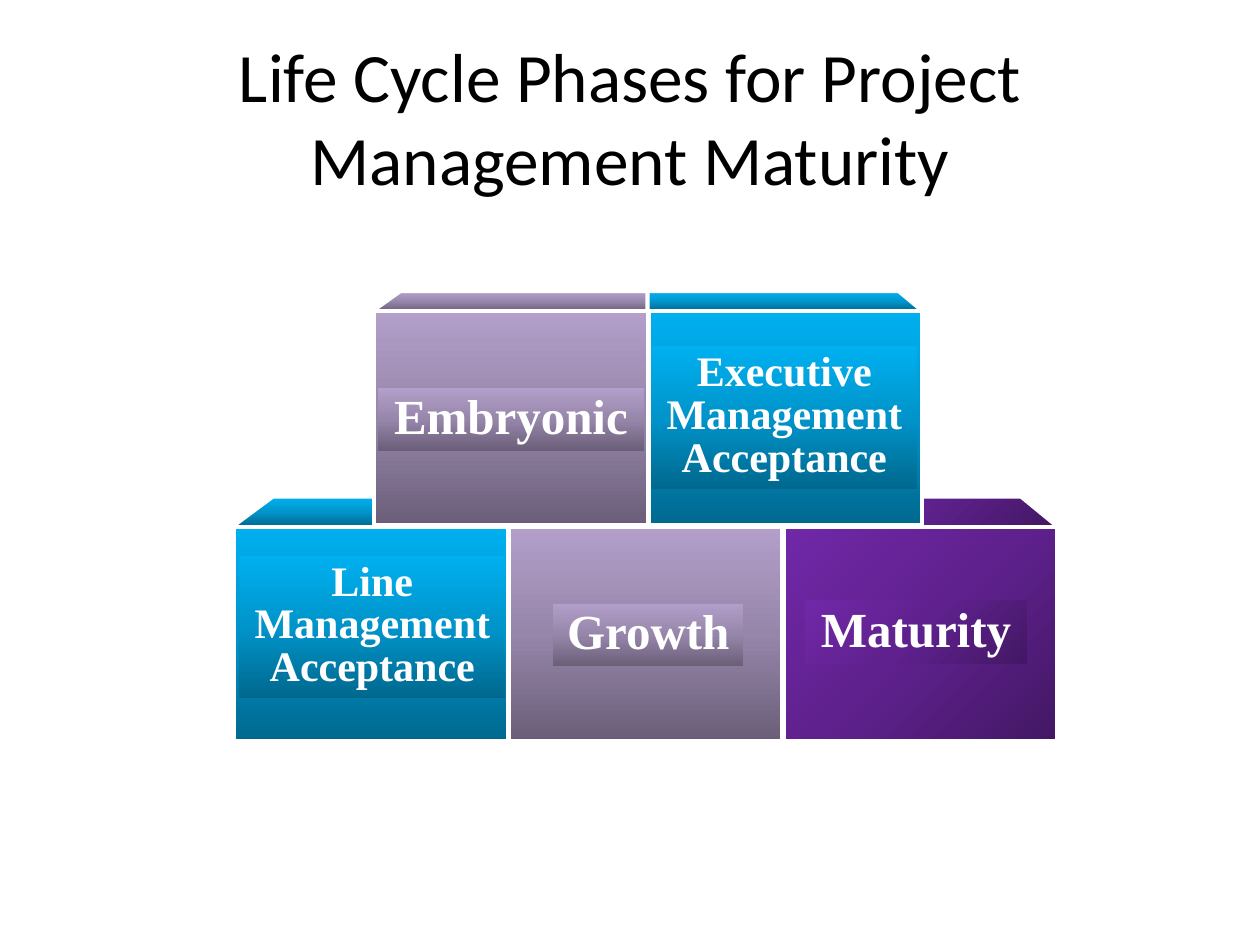
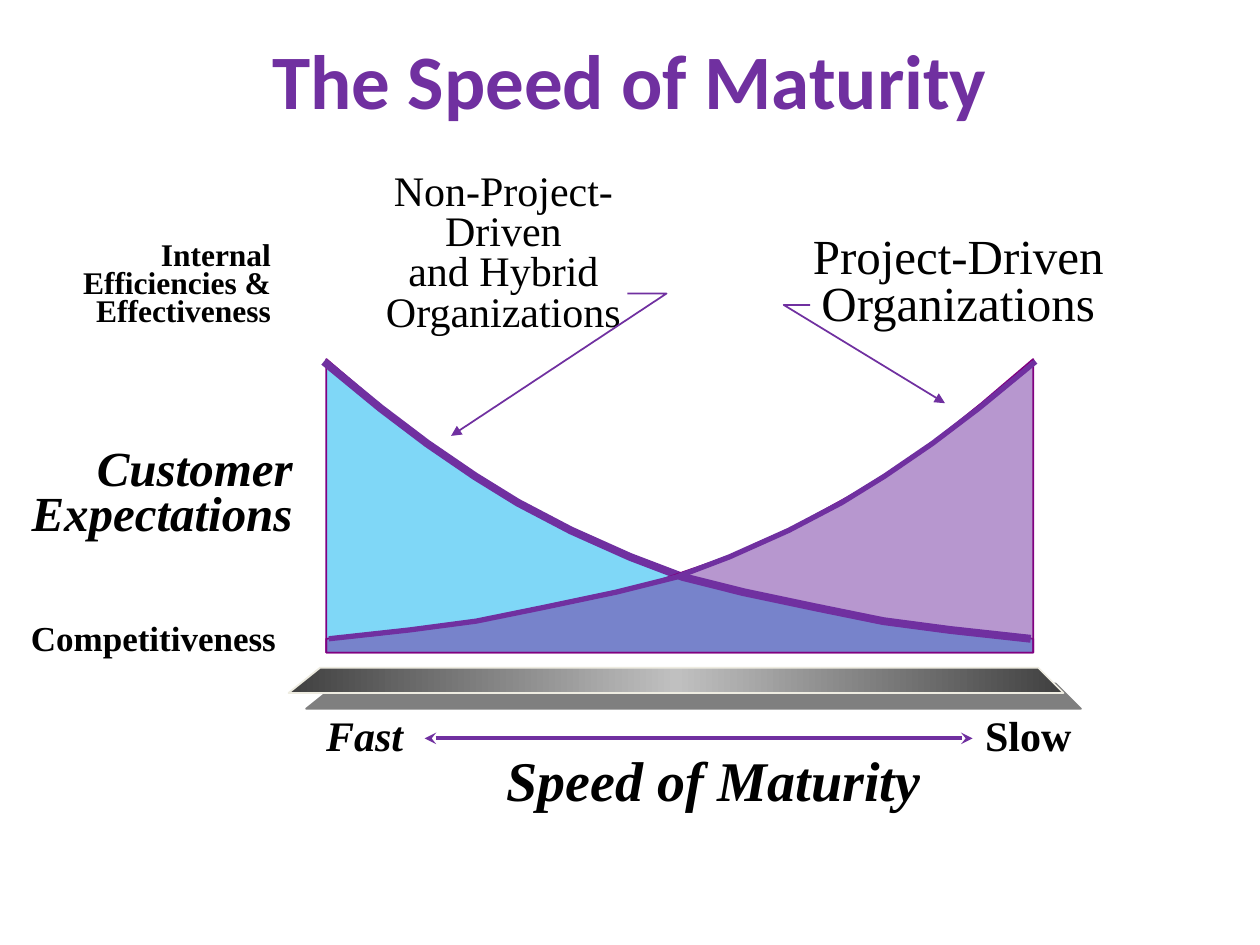
from copy import deepcopy

from lxml import etree
from pptx import Presentation
from pptx.dml.color import RGBColor
from pptx.enum.shapes import MSO_CONNECTOR, MSO_SHAPE
from pptx.enum.text import MSO_ANCHOR, PP_ALIGN
from pptx.oxml.ns import qn
from pptx.util import Inches, Pt

LEFT, CENTER, RIGHT = PP_ALIGN.LEFT, PP_ALIGN.CENTER, PP_ALIGN.RIGHT
TOP, MIDDLE = MSO_ANCHOR.TOP, MSO_ANCHOR.MIDDLE
STRAIGHT, RECTANGLE = MSO_CONNECTOR.STRAIGHT, MSO_SHAPE.RECTANGLE

BLACK = RGBColor(0x00, 0x00, 0x00)
WHITE = RGBColor(0xFF, 0xFF, 0xFF)
PURPLE = RGBColor(0x70, 0x30, 0xA0)
SKY = RGBColor(0x00, 0xB0, 0xF0)
PLUM = RGBColor(0x80, 0x00, 0x80)
IVORY = RGBColor(0xEE, 0xEC, 0xE1)
CHARCOAL = RGBColor(0x40, 0x40, 0x40)
SILVER = RGBColor(0xC0, 0xC0, 0xC0)

BLUE_SHADE = ((RGBColor(0x00, 0x68, 0x8E), RGBColor(0x00, 0x94, 0xCA), SKY), 90)
LILAC_SHADE = ((RGBColor(0x6A, 0x5E, 0x78), RGBColor(0x96, 0x86, 0xAA),
                RGBColor(0xB3, 0x9F, 0xCA)), 90)
VIOLET_SHADE = ((RGBColor(0x43, 0x17, 0x64), RGBColor(0x5F, 0x21, 0x8E),
                 RGBColor(0x71, 0x28, 0xA8)), 135)
STEEL_SHADE = ((CHARCOAL, SILVER, CHARCOAL), 0)

TITLE_FONT, LABEL_FONT = "Calibri", "Times New Roman"

BRICK_WIDTH, BRICK_HEIGHT, BRICK_PITCH = 2.17, 1.7, 2.18
BOTTOM_ROW = (1.86, 4.18, 0.23, (
    ("Line\nManagement\nAcceptance", 24, BLUE_SHADE, (0.31, 0), (0.04, 0.23, 2.11, 1.13)),
    ("Growth", 28, LILAC_SHADE, (0, 0), (0.35, 0.61, 1.51, 0.5)),
    ("Maturity", 28, VIOLET_SHADE, (0, 0.28), (0.17, 0.59, 1.76, 0.5)),
))
TOP_ROW = (2.97, 2.47, 0.15, (
    ("Embryonic", 28, LILAC_SHADE, (0.21, 0), (0.03, 0.61, 2.11, 0.5)),
    ("Executive\nManagement\nAcceptance", 24, BLUE_SHADE, (0, 0.18), (0.02, 0.28, 2.11, 1.13)),
))

CHART_BOX = (2.59, 2.85, 5.61)
AREA = ((0, 0), (0.41, 0.35), (0.87, 0.72), (1.39, 1.05), (1.88, 1.32), (2.4, 1.56),
        (2.98, 1.76), (3.71, 1.94), (4.49, 2.09), (5.21, 2.19), (5.61, 2.22),
        (5.61, 2.33), (0, 2.33))
CURVE = ((5.59, 2.22), (4.95, 2.15), (4.42, 2.08), (3.88, 1.97), (3.31, 1.85),
         (2.83, 1.73), (2.41, 1.57), (1.94, 1.36), (1.52, 1.14), (1.18, 0.93),
         (0.8, 0.67), (0.43, 0.39), (-0.02, 0.02))

AXIS_LABELS = (
    (("Internal", "Efficiencies &", "Effectiveness"), (0.41, 1.88, 1.84, 0.78), 18, 0.75, False),
    (("Customer", "Expectations"), (0.13, 3.53, 2.29, 0.81), 28, 0.75, True),
    (("Competitiveness",), (0.04, 4.89, 2.25, 0.39), 20, 0.85, False),
)
SPEED_LABELS = (
    ("Fast", (2.49, 5.58, 0.92, 0.5), 24, True),
    ("Slow", (7.72, 5.58, 1.12, 0.5), 24, False),
    ("Speed of Maturity", (3.92, 5.86, 4.14, 0.64), 32, True),
)
CALLOUTS = (
    (("Project-Driven", "Organizations"), (6.29, 1.83, 2.63, 0.85), 28,
     ((0.14, 0.59), (-0.07, 0.59), (1.21, 1.37))),
    (("Non-Project-Driven", "and Hybrid", "Organizations"), (2.59, 1.33, 2.81, 1.39), 24,
     ((2.39, 1.0), (2.7, 1.0), (0.99, 2.13))),
)


def inches(box):
    """Convert a box of numbers to lengths."""
    return [Inches(value) for value in box]


def set_font(paragraph, name, size, color, bold=False, italic=False):
    """Format the font of a whole paragraph."""
    font = paragraph.font
    font.name, font.size, font.bold, font.italic = name, Pt(size), bold, italic
    font.color.rgb = color


def set_line(shape, color, width):
    """Give a shape or connector a solid line."""
    shape.line.color.rgb = color
    shape.line.width = Pt(width)


def shade(shape, shading):
    """Fill a shape with an even three-colour gradient."""
    colors, angle = shading
    shape.fill.gradient()
    shape.fill.gradient_angle = angle
    stop_list = shape._element.spPr.find(".//" + qn("a:gsLst"))
    stop_list.insert(1, deepcopy(stop_list[0]))
    for stop, color, position in zip(shape.fill.gradient_stops, colors, (0, 0.5, 1)):
        stop.color.rgb = color
        stop.position = position


def add_arrowheads(shape, **ends):
    """Add headEnd and tailEnd arrowheads to a line."""
    line = shape._element.spPr.find(qn("a:ln"))
    for end, kind in ends.items():
        etree.SubElement(line, qn(f"a:{end}"), type=kind)


def add_outline(slide, origin, points, closed=True):
    """Draw straight segments through points given relative to the origin."""
    left, top = origin
    corners = [(Inches(left + x), Inches(top + y)) for x, y in points]
    builder = slide.shapes.build_freeform(*corners[0])
    builder.add_line_segments(corners[1:], close=closed)
    shape = builder.convert_to_shape()
    shape.shadow.inherit = False
    if not closed:
        shape.fill.background()
    return shape


def add_rectangle(slide, box, shading):
    """Add a gradient rectangle without a line."""
    rectangle = slide.shapes.add_shape(RECTANGLE, *inches(box))
    rectangle.shadow.inherit = False
    shade(rectangle, shading)
    rectangle.line.fill.background()
    return rectangle


def add_label(slide, lines, box, size, align=LEFT, anchor=MIDDLE, spacing=1.0,
              bold=True, italic=False):
    """Add a text box with one paragraph for each line."""
    frame = slide.shapes.add_textbox(*inches(box)).text_frame
    frame.word_wrap = True
    frame.vertical_anchor = anchor
    frame.text = "\n".join(lines)
    for paragraph in frame.paragraphs:
        paragraph.alignment = align
        paragraph.line_spacing = spacing
        set_font(paragraph, LABEL_FONT, size, BLACK, bold, italic)


def add_titled_slide(deck, text, top, size, color, bold=False):
    """Add a slide with a centred title."""
    slide = deck.slides.add_slide(deck.slide_layouts[5])
    title = slide.shapes.title
    title.left, title.top, title.width, title.height = inches((0.5, top, 9, 1.25))
    title.text_frame.text = text
    title.text_frame.vertical_anchor = MIDDLE
    paragraph = title.text_frame.paragraphs[0]
    paragraph.alignment = CENTER
    set_font(paragraph, TITLE_FONT, size, color, bold)
    return slide


def add_brick(slide, left, top, depth, phase):
    """Add one phase brick: its lid, its front and its label."""
    text, size, shading, (left_inset, right_inset), label_box = phase
    lid_width = BRICK_WIDTH - 0.01
    lid = add_outline(slide, (left, top - depth),
                      ((0, depth), (left_inset, 0), (lid_width - right_inset, 0),
                       (lid_width, depth)))
    shade(lid, shading)
    set_line(lid, WHITE, 1)
    front = add_rectangle(slide, (left, top, BRICK_WIDTH, BRICK_HEIGHT), shading)
    set_line(front, WHITE, 2.25)

    x, y, width, height = label_box
    label = add_rectangle(slide, (left + x, top + y, width, height), shading)
    frame = label.text_frame
    frame.word_wrap = False
    frame.vertical_anchor = TOP
    paragraph = frame.paragraphs[0]
    paragraph.text = text
    paragraph.alignment = CENTER
    paragraph.line_spacing = 0.85
    set_font(paragraph, LABEL_FONT, size, WHITE, bold=True)


def add_brick_row(slide, row):
    """Lay out one row of bricks at an equal pitch."""
    left, top, depth, phases = row
    for index, phase in enumerate(phases):
        add_brick(slide, left + index * BRICK_PITCH, top, depth, phase)


def add_maturity_curves(slide, box):
    """Draw the falling area and curve, then their mirror images."""
    left, top, width = box
    for mirrored, color, weight in ((False, SKY, 4.5), (True, PURPLE, 3)):
        area_points, curve_points = (
            [(width - x if mirrored else x, y) for x, y in points] for points in (AREA, CURVE))
        area = add_outline(slide, (left, top), area_points)
        area.fill.solid()
        area.fill.fore_color.rgb = color
        rgb = area._element.spPr.find(qn("a:solidFill"))[0]
        etree.SubElement(rgb, qn("a:alpha"), val="50000")
        set_line(area, PLUM, 1)
        curve = add_outline(slide, (left, top), curve_points, closed=False)
        set_line(curve, PURPLE, weight)


def add_platform(slide, left, top):
    """Draw the metallic base with its hard shadow."""
    platform = add_outline(slide, (left, top), ((0, 0.2), (0.25, 0), (5.95, 0), (6.15, 0.2)))
    shade(platform, STEEL_SHADE)
    set_line(platform, IVORY, 1)
    effects = platform._element.spPr.find(qn("a:effectLst"))
    shadow = etree.SubElement(effects, qn("a:outerShdw"), blurRad="0", dist=str(Pt(13.5)),
                              dir=str(42 * 60000), algn="ctr", rotWithShape="0")
    rgb = etree.SubElement(shadow, qn("a:srgbClr"), val=str(BLACK))
    etree.SubElement(rgb, qn("a:alpha"), val="50000")


def add_speed_scale(slide):
    """Add the double arrow and the labels below the base."""
    arrow = slide.shapes.add_connector(STRAIGHT, *inches((3.37, 5.86, 7.72, 5.86)))
    set_line(arrow, PURPLE, 2.25)
    add_arrowheads(arrow, headEnd="stealth", tailEnd="stealth")
    etree.SubElement(arrow._element.spPr, qn("a:effectLst"))
    for text, box, size, italic in SPEED_LABELS:
        add_label(slide, (text,), box, size, italic=italic)


def add_callout(slide, lines, box, size, pointer_points):
    """Add an organization label and its bent pointer."""
    add_label(slide, lines, box, size, CENTER, TOP, 0.8, bold=False)
    pointer = add_outline(slide, box[:2], pointer_points, closed=False)
    set_line(pointer, PURPLE, 1)
    add_arrowheads(pointer, tailEnd="triangle")


def build_phases_slide(deck):
    """Build the slide of life cycle phases."""
    slide = add_titled_slide(deck, "Life Cycle Phases for Project Management Maturity",
                             0.3, 39.6, BLACK)
    for row in (BOTTOM_ROW, TOP_ROW):
        add_brick_row(slide, row)


def build_speed_slide(deck):
    """Build the slide on the speed of maturity."""
    slide = add_titled_slide(deck, "The Speed of Maturity", 0, 44, PURPLE, bold=True)
    add_speed_scale(slide)
    add_platform(slide, 2.29, 5.3)
    add_maturity_curves(slide, CHART_BOX)
    for callout in CALLOUTS:
        add_callout(slide, *callout)
    for lines, box, size, spacing, italic in AXIS_LABELS:
        add_label(slide, lines, box, size, RIGHT, spacing=spacing, italic=italic)


def main():
    """Build and save the deck."""
    deck = Presentation()
    deck.slide_width, deck.slide_height = Inches(10), Inches(7.5)
    build_phases_slide(deck)
    build_speed_slide(deck)
    deck.save("out.pptx")


if __name__ == "__main__":
    main()
